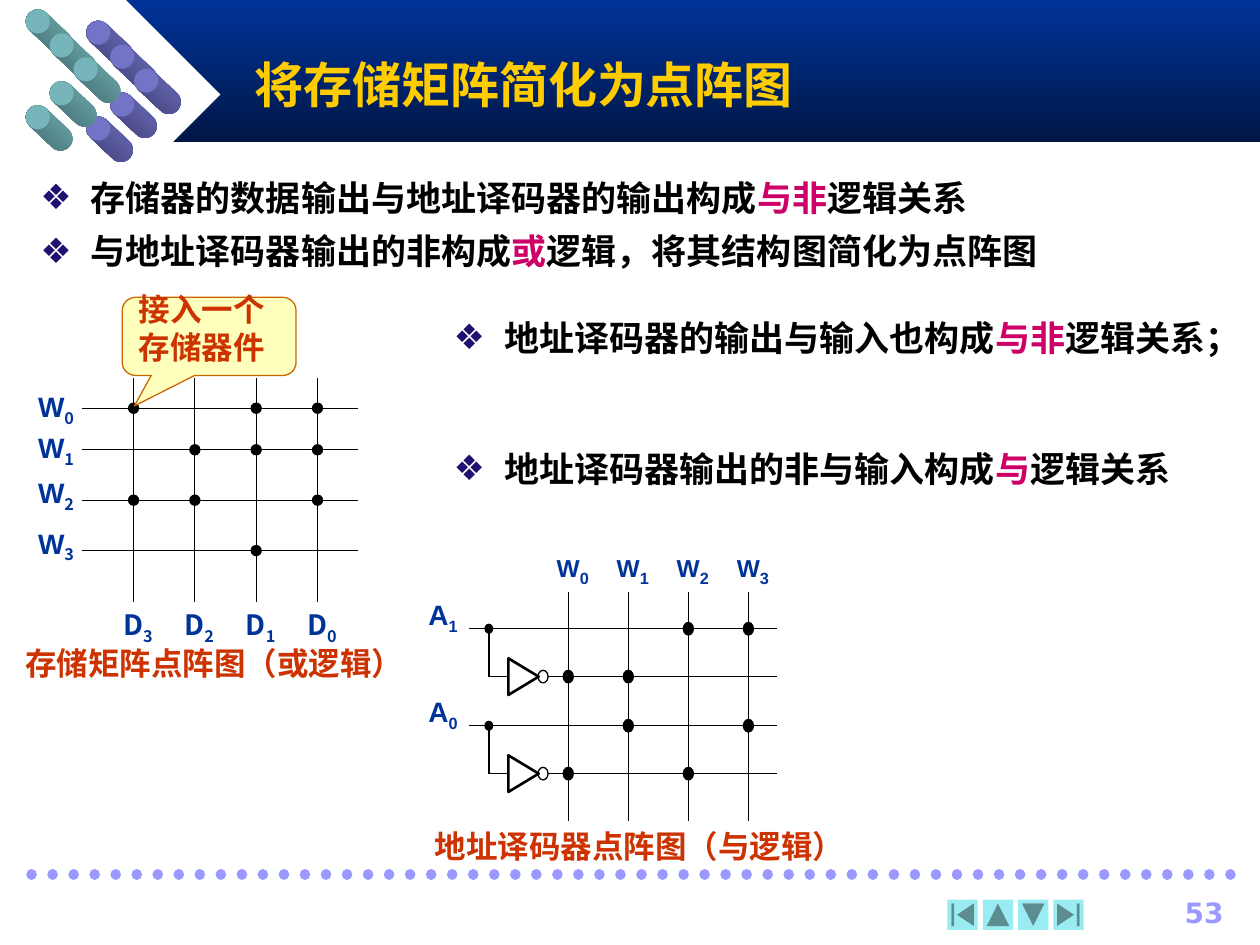
from math import atan2, degrees, hypot

from lxml.etree import SubElement
from pptx import Presentation
from pptx.dml.color import RGBColor
from pptx.enum.dml import MSO_LINE
from pptx.enum.shapes import MSO_CONNECTOR, MSO_SHAPE
from pptx.enum.text import MSO_ANCHOR, MSO_AUTO_SIZE, PP_ALIGN
from pptx.oxml.ns import qn
from pptx.util import Inches, Pt

HUE = {
    "navy": "003399", "night": "001746", "white": "FFFFFF", "black": "000000",
    "gold": "FFCC00", "lilac": "9999FF", "aqua": "98ECF2", "rust": "CC3300",
    "pink": "CC0066", "bullet": "1E116F", "cream": "FFFFBD", "edge": "CC6600",
    "teal": "76B5BA", "teal dark": "3C6468",
    "plum": "7474C6", "plum dark": "3A3A6E",
}
CJK = "Noto Sans CJK SC"


def rgb(name):
    return RGBColor.from_string(HUE[name])


def shade(fill, stops, angle):
    fill.gradient()
    fill.gradient_angle = angle
    for stop, name in zip(fill.gradient_stops, stops):
        stop.color.rgb = rgb(name)


def form(shapes, kind, x, y, w, h, fill=None, line=None, width=0.75, turn=0):
    item = shapes.add_shape(kind, Inches(x), Inches(y), Inches(w), Inches(h))
    item.shadow.inherit = False
    item.rotation = turn
    if fill:
        item.fill.solid()
        item.fill.fore_color.rgb = rgb(fill)
    else:
        item.fill.background()
    if line:
        item.line.color.rgb = rgb(line)
        item.line.width = Pt(width)
    else:
        item.line.fill.background()
    return item


def wire(shapes, x1, y1, x2, y2, color="black", width=0.75):
    line = shapes.add_connector(MSO_CONNECTOR.STRAIGHT, Inches(x1), Inches(y1),
                                Inches(x2), Inches(y2))
    line.line.color.rgb = rgb(color)
    line.line.width = Pt(width)
    SubElement(line._element.spPr, qn("a:effectLst"))
    return line


def dot(shapes, x, y, w=0.08, h=0.08, fill="black"):
    form(shapes, MSO_SHAPE.OVAL, x - w / 2, y - h / 2, w, h, fill, "black")


def write(frame, *paras, size=16, color="navy", font="Arial", align=PP_ALIGN.LEFT,
          space=1.0, gap=0, anchor=MSO_ANCHOR.TOP, bullet=None):
    """Each paragraph is a list of (text, overrides) runs."""
    frame.word_wrap = True
    frame.auto_size = MSO_AUTO_SIZE.NONE
    frame.vertical_anchor = anchor
    for n, runs in enumerate(paras):
        para = frame.add_paragraph() if n else frame.paragraphs[0]
        if bullet:
            props = para._p.get_or_add_pPr()
            props.set("marL", str(Inches(0.4)))
            props.set("indent", str(Inches(-0.4)))
            tint = SubElement(props, qn("a:buClr"))
            SubElement(tint, qn("a:srgbClr"), val=HUE["bullet"])
            SubElement(props, qn("a:buFont"), typeface="Arial")
            SubElement(props, qn("a:buChar"), char=bullet)
        para.alignment = align
        para.line_spacing = space
        para.space_before = Pt(gap if n else 0)
        for text, own in runs:
            run = para.add_run()
            run.text = text
            run.font.size = Pt(own.get("size", size))
            run.font.bold = True
            run.font.color.rgb = rgb(own.get("color", color))
            run.font.name = own.get("font", font)
            props = run._r.get_or_add_rPr()
            SubElement(props, qn("a:ea"), typeface=CJK)
            if own.get("sub"):
                props.set("baseline", "-25000")


def label(shapes, x, y, w, h, *runs, **fmt):
    box = shapes.add_textbox(Inches(x), Inches(y), Inches(w), Inches(h))
    write(box.text_frame, list(runs),
          **{"align": PP_ALIGN.CENTER, "space": 0.9, **fmt})


def index(shapes, x, y, w, name, digit, size=16, font="Arial", low="Arial"):
    label(shapes, x, y, w, 0.34, (name, {"size": size, "font": font}),
          (digit, {"sub": True, "font": low}))


def place(item, x, y, w, h):
    item.left, item.top, item.width, item.height = map(Inches, (x, y, w, h))
    return item.text_frame


def rod(shapes, x, y, name):
    """Slanted cylinder whose round face is centred on x, y."""
    size, dx, dy = 0.19, 0.18, 0.17
    span = hypot(dx, dy) + size
    body = form(shapes, MSO_SHAPE.ROUNDED_RECTANGLE, x + dx / 2 - span / 2,
                y + dy / 2 - size / 2, span, size, name, turn=degrees(atan2(dy, dx)))
    body.adjustments[0] = 0.5
    shade(body.fill, (name, name + " dark"), 270)
    form(shapes, MSO_SHAPE.OVAL, x - size / 2, y - size / 2, size, size, name)


def header(slide, x, y, w, h):
    group = slide.shapes.add_group_shape()
    shapes = group.shapes
    band = form(shapes, MSO_SHAPE.RECTANGLE, x + 1, y, w - 1, h, "navy")
    shade(band.fill, ("navy", "night"), 270)
    form(shapes, MSO_SHAPE.DIAMOND, x + 0.25, y, 1.5, 1.5, "white")
    # Two arrowheads made of rods
    for left, top, name in ((0.78, 0.26, "plum"), (0.3, 0.17, "teal")):
        for n, step in enumerate((0, 1, 2, 1, 0)):
            rod(shapes, x + left + 0.19 * step, y + top + 0.19 * n, name)
    # Keep the band behind the title
    slide.shapes._spTree.insert(2, group._element)


def footer(slide, x, y):
    shapes = slide.shapes
    rule = wire(shapes, x, y, x + 9.58, y, "lilac", 6)
    rule.line.dash_style = MSO_LINE.ROUND_DOT
    rule.line._ln.set("cap", "rnd")
    buttons = (
        (MSO_SHAPE.ACTION_BUTTON_BEGINNING, 0),
        (MSO_SHAPE.ACTION_BUTTON_BACK_OR_PREVIOUS, 90),
        (MSO_SHAPE.ACTION_BUTTON_FORWARD_OR_NEXT, 90),
        (MSO_SHAPE.ACTION_BUTTON_END, 0),
    )
    for n, (kind, turn) in enumerate(buttons):
        form(shapes, kind, x + 7.27 + 0.28 * n, y + 0.2, 0.24, 0.24, "aqua", turn=turn)
    label(shapes, x + 8.61, y + 0.12, 0.95, 0.33, ("53", {}), color="lilac",
          font="DejaVu Sans", align=PP_ALIGN.RIGHT, space=1.0)


def matrix(slide, x, y):
    shapes = slide.shapes.add_group_shape().shapes
    cols = [x + 1.06 + 1.46 / 3 * n for n in range(4)]
    rows = [y + d for d in (0.24, 0.57, 0.97, 1.37)]
    tops = [y + d for d in (0.05, 0.37, 0.73, 1.13)]
    for n, (row, top) in enumerate(zip(rows, tops)):
        wire(shapes, x + 0.65, row, x + 2.84, row)
        index(shapes, x + 0.16, top, 0.57, "W", str(n), low=CJK)
    for n, col in enumerate(cols):
        wire(shapes, col, y, col, y + 1.78)
        index(shapes, col - 0.25, y + 1.78, 0.57, "D", str(3 - n), font=CJK, low=CJK)
    for row, marks in zip(rows, ((0, 2, 3), (1, 2, 3), (0, 1, 3), (2,))):
        for n in marks:
            dot(shapes, cols[n], row)
    label(shapes, x, y + 2.1, 3.4, 0.37, ("存储矩阵点阵图（或逻辑）", {}),
          size=18, color="rust", font=CJK)


def decoder(slide, x, y):
    shapes = slide.shapes.add_group_shape().shapes
    cols = [x + 1.28 + 1.43 / 3 * n for n in range(4)]
    rows = []
    # Each input feeds a direct line and an inverted one
    for n, digit in enumerate("10"):
        top = y + 0.67 + 0.77 * n
        low = top + 0.38
        rows += [top, low]
        wire(shapes, x + 0.49, top, x + 2.94, top)
        wire(shapes, x + 0.65, top, x + 0.65, low)
        wire(shapes, x + 0.65, low, x + 0.81, low)
        form(shapes, MSO_SHAPE.ISOSCELES_TRIANGLE, x + 0.78, low - 0.12, 0.29, 0.24,
             line="black", width=1.5, turn=90)
        dot(shapes, x + 1.08, low, h=0.1, fill=None)
        wire(shapes, x + 1.12, low, x + 2.94, low)
        dot(shapes, x + 0.65, top, 0.06, 0.07)
        index(shapes, x + 0.01, top - 0.29, 0.55, "A", digit)
    for n, (col, marks) in enumerate(zip(cols, ((1, 3), (1, 2), (0, 3), (0, 2)))):
        wire(shapes, col, y + 0.38, col, y + 2.2)
        index(shapes, col - 0.24, y, 0.55, "W", str(n), size=14)
        for row in marks:
            dot(shapes, col, rows[row], h=0.1)
    label(shapes, x, y + 2.23, 3.69, 0.37, ("地址译码器点阵图（与逻辑）", {}),
          size=18, color="rust", font=CJK)


def callout(slide, x, y, w, h):
    note = form(slide.shapes, MSO_SHAPE.ROUNDED_RECTANGULAR_CALLOUT, x, y, w, h,
                "cream", "edge")
    for n, value in enumerate((-0.43, 0.89, 0.17)):
        note.adjustments[n] = value
    write(note.text_frame, [("接入一个存储器件", {})], size=18, color="rust",
          anchor=MSO_ANCHOR.BOTTOM)


def points(slide):
    key = {"color": "pink"}
    lists = (
        ((0.22, 1.32, 8.82, 1.14), (
            [("存储器的数据输出与地址译码器的输出构成", {}), ("与非", key), ("逻辑关系", {})],
            [("与地址译码器输出的非构成", {}), ("或", key),
             ("逻辑，将其结构图简化为点阵图", {})])),
        ((3.5, 2.43, 6.5, 0.55), (
            [("地址译码器的输出与输入也构成", {}), ("与非", key), ("逻辑关系；", {})],)),
        ((3.5, 3.47, 6.5, 0.52), (
            [("地址译码器输出的非与输入构成", {}), ("与", key), ("逻辑关系", {})],)),
    )
    bodies = list(slide.placeholders)[1:]
    for body, (box, paras) in zip(bodies, lists):
        write(place(body, *box), *paras, size=20, color="black", space=1.1,
              gap=4, bullet="❖")
    for spare in bodies[len(lists):]:
        spare._element.getparent().remove(spare._element)


def main():
    deck = Presentation()
    deck.slide_width, deck.slide_height = Inches(10), Inches(7.5)
    slide = deck.slides.add_slide(deck.slide_layouts[4])
    write(place(slide.shapes.title, 1.92, 0.33, 7.5, 0.67),
          [("将存储矩阵简化为点阵图", {})], size=28, color="gold",
          anchor=MSO_ANCHOR.MIDDLE)
    points(slide)
    header(slide, 0, 0, 10, 1.13)
    footer(slide, 0.25, 6.94)
    matrix(slide, 0, 3)
    decoder(slide, 3.23, 4.32)
    callout(slide, 0.97, 2.36, 1.38, 0.62)
    deck.save("out.pptx")


if __name__ == "__main__":
    main()
